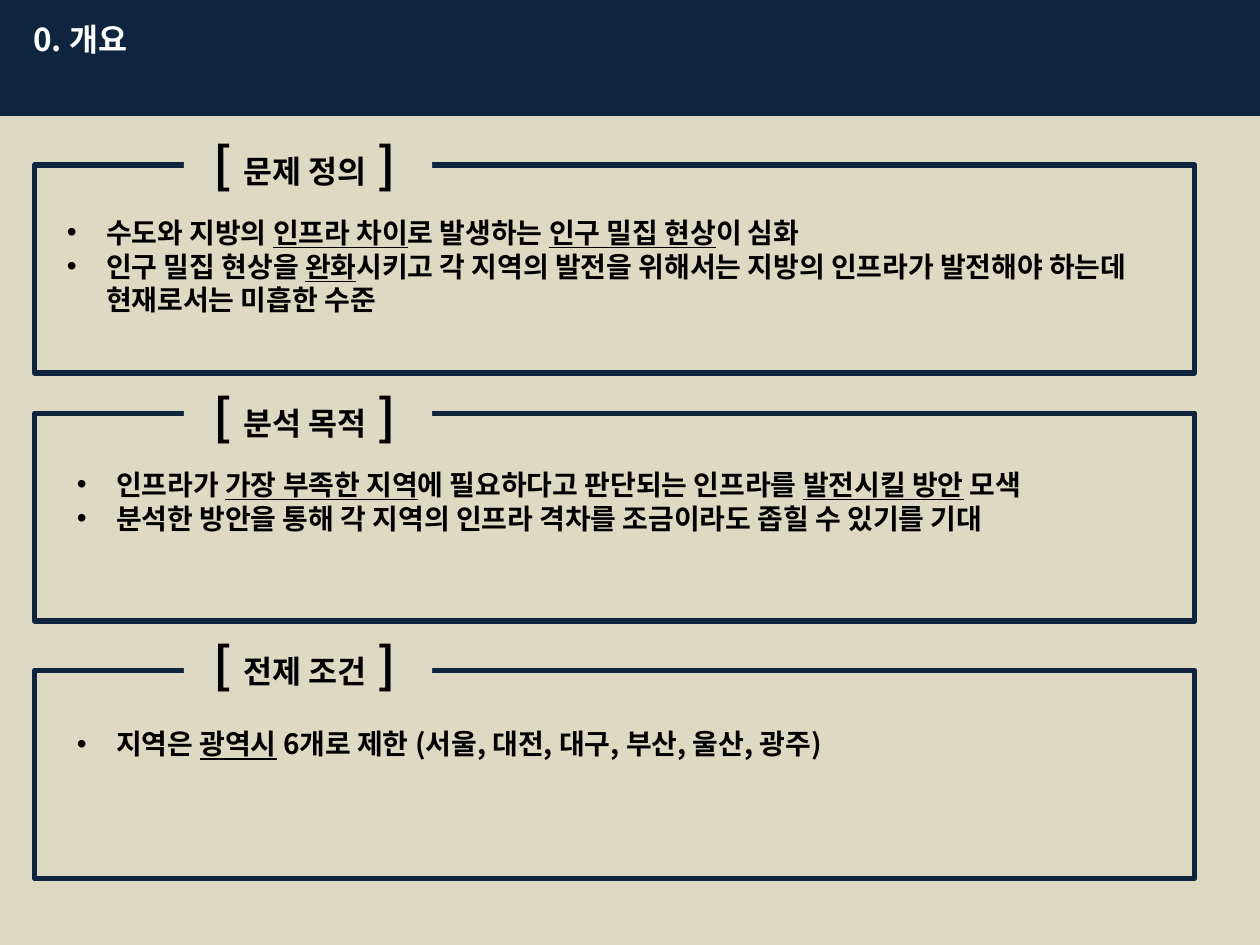
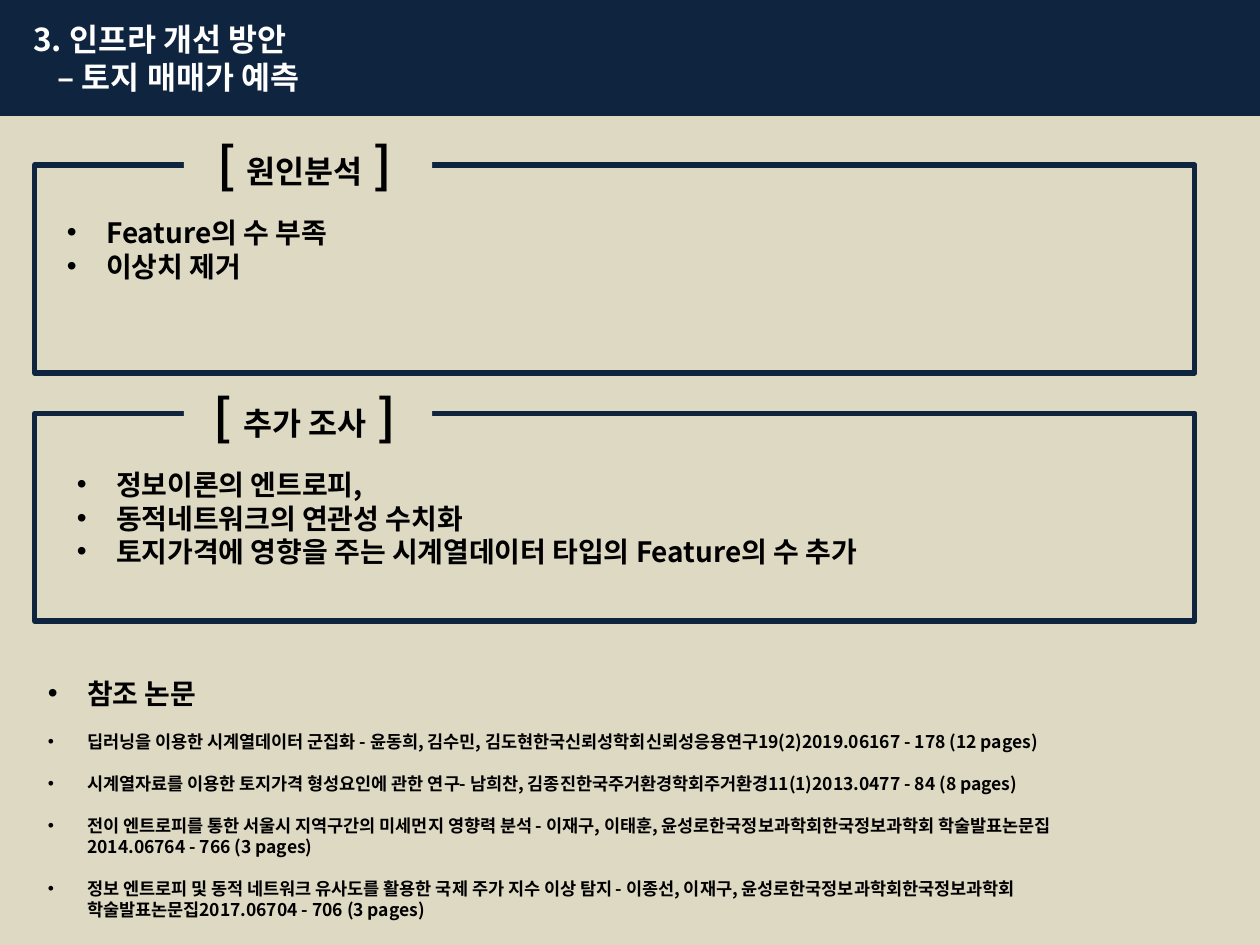
from dataclasses import dataclass

from lxml import etree
from pptx import Presentation
from pptx import util as u
from pptx.dml import color
from pptx.enum import shapes, text
from pptx.oxml import ns

Pt = u.Pt
FONT = "Noto Sans CJK KR"
COLORS = {"navy": "0F243E", "sand": "DDD9C3", "white": "FFFFFF", "black": "000000"}
COMPARISON_LAYOUT = 3 + 1
FRAME_LEFT, FRAME_WIDTH, FRAME_HEIGHT = 19.8, 663, 118.8
LABEL_LEFT, LABEL_WIDTH, LABEL_HEIGHT = 105.12, 141.84, 41.04
HANGING = 22.5
TIGHT = {"line_spacing": 1.0, "space_before": Pt(0), "space_after": Pt(0)}
BAND_FRAME = {
    "margin_left": Pt(19), "margin_top": Pt(11.4), "word_wrap": True,
    "auto_size": text.MSO_AUTO_SIZE.NONE, "vertical_anchor": text.MSO_ANCHOR.TOP,
}
LABEL_FRAME = {
    "margin_right": Pt(11), "word_wrap": True,
    "auto_size": text.MSO_AUTO_SIZE.SHAPE_TO_FIT_TEXT,
    "vertical_anchor": text.MSO_ANCHOR.TOP,
}
LIST_FRAME = {
    "word_wrap": True, "auto_size": text.MSO_AUTO_SIZE.SHAPE_TO_FIT_TEXT,
    "vertical_anchor": text.MSO_ANCHOR.TOP,
}


@dataclass(frozen=True)
class Item:
    text: str
    size: float = 16
    gap: float = 0


@dataclass(frozen=True)
class ListPlace:
    left: float
    top: float
    width: float
    height: float


@dataclass(frozen=True)
class SectionPlace:
    frame_top: float
    label_top: float
    items: ListPlace


@dataclass(frozen=True)
class Section:
    label: str
    items: list[Item]


@dataclass(frozen=True)
class PageContent:
    title: list[str]
    sections: list[Section]
    references: list[Item]


SECTION_PLACES = [
    SectionPlace(94.32, 73.44, ListPlace(31, 119.5, 641, 65.5)),
    SectionPlace(236.16, 217.44, ListPlace(36.7, 263.5, 623.5, 65.5)),
    SectionPlace(383.04, 359.28, ListPlace(36.7, 411.8, 584, 26.6)),
]
REFERENCE_PLACE = ListPlace(20.16, 383.04, 623.5, 151)

PAGES = [
    PageContent(
        ["0. 개요"],
        [
            Section("문제 정의", [
                Item("수도와 지방의 _인프라 차이_로 발생하는 _인구 밀집 현상_이 심화"),
                Item("인구 밀집 현상을 _완화_시키고 각 지역의 발전을 위해서는 "
                     "지방의 인프라가 발전해야 하는데 현재로서는 미흡한 수준"),
            ]),
            Section("분석 목적", [
                Item("인프라가 _가장 부족한 지역_에 필요하다고 판단되는 인프라를 _발전시킬 방안_ 모색"),
                Item("분석한 방안을 통해 각 지역의 인프라 격차를 조금이라도 좁힐 수 있기를 기대"),
            ]),
            Section("전제 조건", [
                Item("지역은 _광역시_ 6개로 제한 (서울, 대전, 대구, 부산, 울산, 광주)"),
            ]),
        ],
        [],
    ),
    PageContent(
        ["3. 인프라 개선 방안", "– 토지 매매가 예측"],
        [
            Section("원인분석", [Item("Feature의 수 부족"), Item("이상치 제거")]),
            Section("추가 조사", [
                Item("정보이론의 엔트로피,"),
                Item("동적네트워크의 연관성 수치화"),
                Item("토지가격에 영향을 주는 시계열데이터 타입의 Feature의 수 추가"),
            ]),
        ],
        [
            Item("참조 논문"),
            Item("딥러닝을 이용한 시계열데이터 군집화 - 윤동희, 김수민, "
                 "김도현한국신뢰성학회신뢰성응용연구19(2)2019.06167 - 178 (12 pages)", 10, 12),
            Item("시계열자료를 이용한 토지가격 형성요인에 관한 연구- 남희찬, "
                 "김종진한국주거환경학회주거환경11(1)2013.0477 - 84 (8 pages)", 10, 12),
            Item("전이 엔트로피를 통한 서울시 지역구간의 미세먼지 영향력 분석 - 이재구, 이태훈, "
                 "윤성로한국정보과학회한국정보과학회 학술발표논문집2014.06764 - 766 (3 pages)", 10, 12),
            Item("정보 엔트로피 및 동적 네트워크 유사도를 활용한 국제 주가 지수 이상 탐지 - 이종선, 이재구, "
                 "윤성로한국정보과학회한국정보과학회 학술발표논문집2017.06704 - 706 (3 pages)", 10, 12),
        ],
    ),
]


def rgb(name: str) -> color.RGBColor:
    return color.RGBColor.from_string(COLORS[name])


def apply(target, values: dict) -> None:
    for name, value in values.items():
        setattr(target, name, value)


def paint(fill, name: str) -> None:
    fill.solid()
    fill.fore_color.rgb = rgb(name)


def place(box, left: float, top: float, width: float, height: float) -> None:
    apply(box, {"left": Pt(left), "top": Pt(top), "width": Pt(width), "height": Pt(height)})


def add_span(para, words: str, size: float, ink: str = "black", underline: bool = False) -> None:
    span = para.add_run()
    span.text = words
    apply(span.font, {"size": Pt(size), "bold": True, "name": FONT, "underline": underline})
    span.font.color.rgb = rgb(ink)
    etree.SubElement(span.font._element, ns.qn("a:ea"), typeface=FONT)


def add_para(frame, position: int, align=text.PP_ALIGN.LEFT):
    para = frame.add_paragraph() if position else frame.paragraphs[0]
    apply(para, TIGHT | {"alignment": align})
    return para


def indent(para, margin: float, first: float):
    properties = para._p.get_or_add_pPr()
    properties.set("marL", str(Pt(margin)))
    properties.set("indent", str(Pt(first)))
    return properties


def fill_title(band, lines: list[str]) -> None:
    place(band, 0, 0, 720, 66.24)
    paint(band.fill, "navy")
    apply(band.text_frame, BAND_FRAME)
    for position, line in enumerate(lines):
        para = add_para(band.text_frame, position)
        indent(para, 14 * position, 0)
        add_span(para, line, 18, "white")


def fill_list(box, where: ListPlace, items: list[Item]) -> None:
    place(box, where.left, where.top, where.width, where.height)
    apply(box.text_frame, LIST_FRAME)
    for position, item in enumerate(items):
        para = add_para(box.text_frame, position)
        para.space_before = Pt(item.gap)
        properties = indent(para, HANGING, -HANGING)
        etree.SubElement(properties, ns.qn("a:buFont"), typeface="Arial")
        etree.SubElement(properties, ns.qn("a:buChar"), char="•")
        for part, words in enumerate(item.text.split("_")):
            if words:
                add_span(para, words, item.size, underline=part % 2 == 1)


def add_rectangle(page, left: float, top: float, width: float, height: float):
    box = page.shapes.add_shape(
        shapes.MSO_SHAPE.RECTANGLE, Pt(left), Pt(top), Pt(width), Pt(height))
    box.shadow.inherit = False
    return box


def add_section_frame(page, where: SectionPlace, label: str) -> None:
    frame = add_rectangle(page, FRAME_LEFT, where.frame_top, FRAME_WIDTH, FRAME_HEIGHT)
    frame.fill.background()
    frame.line.color.rgb = rgb("navy")
    frame.line.width = Pt(3)
    tag = add_rectangle(page, LABEL_LEFT, where.label_top, LABEL_WIDTH, LABEL_HEIGHT)
    paint(tag.fill, "sand")
    tag.line.fill.background()
    apply(tag.text_frame, LABEL_FRAME)
    para = add_para(tag.text_frame, 0, text.PP_ALIGN.CENTER)
    for words, size in (("[ ", 28), (label, 18), (" ]", 28)):
        add_span(para, words, size)


def add_page(deck, content: PageContent) -> None:
    page = deck.slides.add_slide(deck.slide_layouts[COMPARISON_LAYOUT])
    fill_title(page.shapes.title, content.title)
    bodies = list(page.placeholders)[1:]
    lists = [(where.items, section.items)
             for where, section in zip(SECTION_PLACES, content.sections)]
    if content.references:
        lists.append((REFERENCE_PLACE, content.references))
    for body, (where, items) in zip(bodies, lists):
        fill_list(body, where, items)
    for body in bodies[len(lists):]:
        body._element.getparent().remove(body._element)
    for where, section in zip(SECTION_PLACES, content.sections):
        add_section_frame(page, where, section.label)


def main() -> None:
    deck = Presentation()
    apply(deck, {"slide_width": Pt(720), "slide_height": Pt(540)})
    paint(deck.slide_master.background.fill, "sand")
    for content in PAGES:
        add_page(deck, content)
    deck.save("out.pptx")


if __name__ == "__main__":
    main()
